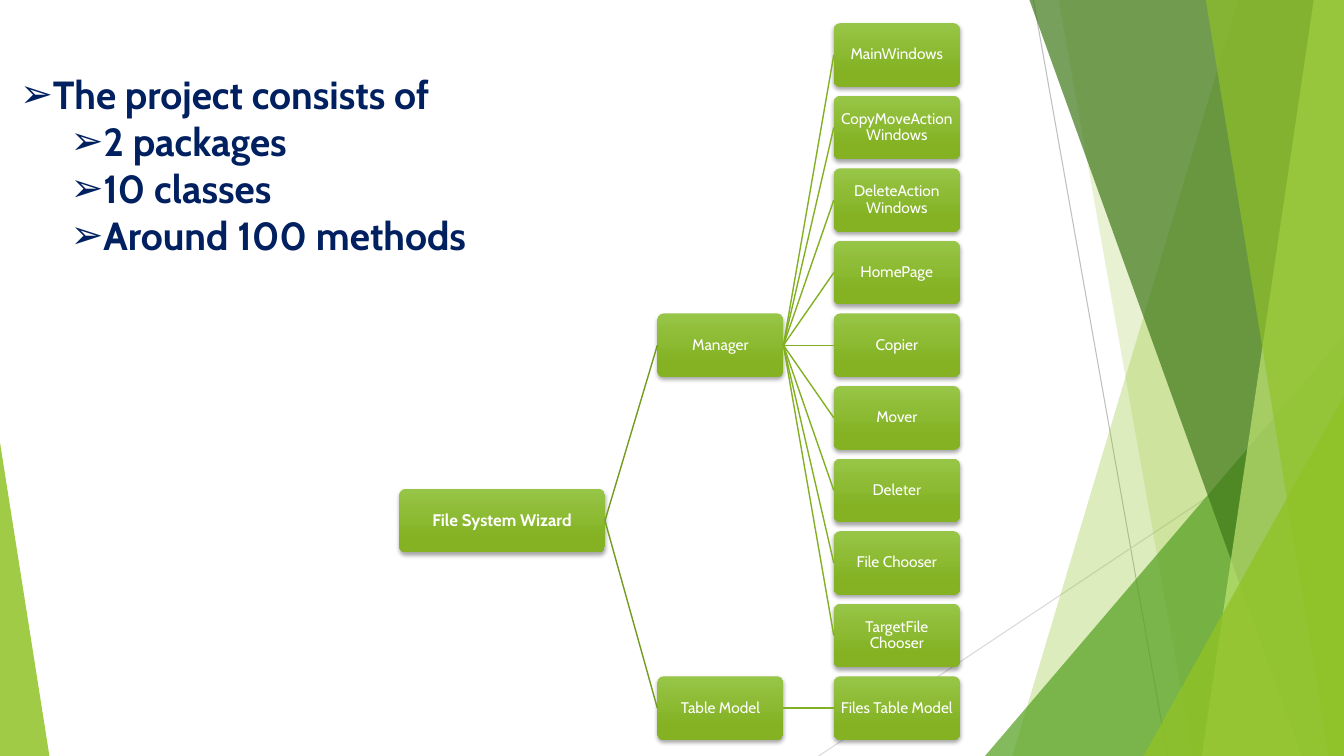
from pptx import Presentation
from pptx.dml.color import RGBColor as Rgb
from pptx.enum.shapes import MSO_CONNECTOR as Link, MSO_SHAPE as Kind
from pptx.enum.text import MSO_ANCHOR as Anchor, MSO_AUTO_SIZE as Auto, PP_ALIGN as Align
from pptx.oxml import parse_xml
from pptx.oxml.ns import nsdecls, qn
from pptx.util import Inches, Pt

THEME = {
    "font": "Cabin", "navy": "002060", "white": "FFFFFF",
    "top": "97C547", "base": "84B223", "trunk": "739B1E", "twig": "83B022",
    "list": 28, "root": 12, "node": 11,
}
POINTS = [
    ("The project consists of", 0),
    ("2 packages", 1),
    ("10 classes", 1),
    ("Around 100 methods", 1),
]
ROOT = "File System Wizard"
TREE = [
    ("Manager", 4, [
        "MainWindows", "CopyMoveAction Windows", "DeleteAction Windows",
        "HomePage", "Copier", "Mover", "Deleter", "File Chooser",
        "TargetFile Chooser",
    ]),
    ("Table Model", 9, ["Files Table Model"]),
]
RAYS = [
    ((10.25, 0), (11.58, 7.5), "BFBFBF"),
    ((13.33, 4.03), (8.12, 7.5), "D9D9D9"),
]
PANES = [
    ("free", [(12.28, 0), (13.33, 0), (13.33, 7.5), (10.04, 7.5)], "90C226", 30),
    ("free", [(10.5, 0), (13.33, 0), (13.33, 7.5), (11.83, 7.5)], "90C226", 20),
    ("peak", (9.77, 3.33, 3.56, 4.17, 1), "54A021", 72),
    ("free", [(10.21, 0), (13.33, 0), (13.33, 7.5), (12.91, 7.5)], "3F7819", 70),
    ("free", [(13.03, 0), (13.33, 0), (13.33, 7.5), (11.92, 7.5)], "C0E474", 70),
    ("free", [(11.96, 0), (13.33, 0), (13.33, 7.5), (13.18, 7.5)], "90C226", 65),
    ("peak", (11.34, 3.93, 1.99, 3.57, 1), "90C226", 80),
    ("peak", (0, 4.39, 0.49, 3.11, 0), "90C226", 85),
]
ROW, STEP, HIGH = 0.23, 0.72, 0.63
MID, LEAF, WIDE = 6.52, 8.27, 1.25


def color(name):
    return Rgb.from_string(THEME.get(name, name))


def write(para, text, size, tint, bold=False, align=None, space=None):
    run = para.add_run()
    run.text = text
    font = run.font
    font.name, font.size, font.bold = THEME["font"], Pt(THEME[size]), bold
    font.color.rgb = color(tint)
    para.alignment = align
    para.line_spacing = space
    para.space_before = para.space_after = Pt(0)


def pane(shapes, kind, form, tint, alpha):
    if kind == "free":
        pts = [(Inches(x), Inches(y)) for x, y in form]
        path = shapes.build_freeform(*pts[0])
        path.add_line_segments(pts[1:], close=True)
        shape = path.convert_to_shape()
    else:
        *frame, tip = form
        shape = shapes.add_shape(Kind.ISOSCELES_TRIANGLE, *map(Inches, frame))
        shape.adjustments[0] = tip
    shape.shadow.inherit = False
    shape.fill.solid()
    shape.fill.fore_color.rgb = color(tint)
    shape.line.fill.background()
    mark = shape.element.spPr.find(".//" + qn("a:srgbClr"))
    mark.append(parse_xml(f'<a:alpha {nsdecls("a")} val="{alpha * 1000}"/>'))


def line(shapes, start, end, tint, width):
    link = shapes.add_connector(Link.STRAIGHT, *map(Inches, start + end))
    link.line.color.rgb = color(tint)
    link.line.width = Pt(width)
    link.element.spPr.append(parse_xml(f'<a:effectLst {nsdecls("a")}/>'))
    return link


def join(shapes, left, right, tint):
    link = line(shapes, (0, 0), (1, 1), tint, 1)
    link.begin_connect(left, 3)
    link.end_connect(right, 1)


def box(shapes, text, x, y, wide=WIDE, size="node", bold=False):
    shape = shapes.add_shape(Kind.ROUNDED_RECTANGLE, *map(Inches, (x, y, wide, HIGH)))
    shape.adjustments[0] = 0.1
    shape.fill.gradient()
    shape.fill.gradient_angle = 270
    for stop, tint, spot in zip(shape.fill.gradient_stops, ("top", "base"), (0, 0.78)):
        stop.color.rgb = color(tint)
        stop.position = spot
    shape.line.fill.background()
    shape.shadow.inherit = False
    shape.element.spPr.find(qn("a:effectLst")).append(parse_xml(
        f'<a:outerShdw {nsdecls("a")} blurRad="38100" dist="25400" dir="5400000"'
        ' rotWithShape="0"><a:srgbClr val="000000"><a:alpha val="35000"/>'
        '</a:srgbClr></a:outerShdw>'))
    frame = shape.text_frame
    frame.word_wrap = True
    frame.vertical_anchor = Anchor.MIDDLE
    frame.margin_left = frame.margin_right = Inches(0.01)
    frame.margin_top = frame.margin_bottom = Inches(0.01)
    write(frame.paragraphs[0], text, size, "white", bold, Align.CENTER, 0.9)
    return shape


def outline(body):
    body.left, body.top, body.width, body.height = map(Inches, (0.1, 0.65, 5.81, 2.93))
    frame = body.text_frame
    frame.auto_size = Auto.NONE
    frame.word_wrap = True
    frame.vertical_anchor = Anchor.TOP
    for i, (text, level) in enumerate(POINTS):
        para = frame.add_paragraph() if i else frame.paragraphs[0]
        para.level = level
        write(para, text, "list", "navy", True, Align.LEFT, 1.0)
        props = para._p.get_or_add_pPr()
        props.set("marL", str(Inches(0.31 + 0.5 * level)))
        props.set("indent", str(Inches(-0.31)))
        props.append(parse_xml(f'<a:buChar {nsdecls("a")} char="➢"/>'))


def main():
    deck = Presentation()
    deck.slide_width, deck.slide_height = Inches(13.33), Inches(7.5)
    slide = deck.slides.add_slide(deck.slide_layouts[1])
    shapes = slide.shapes
    title = shapes.title.element
    title.getparent().remove(title)
    outline(slide.placeholders[1])
    for start, end, tint in RAYS:
        line(shapes, start, end, tint, 0.75)
    for item in PANES:
        pane(shapes, *item)
    root = box(shapes, ROOT, 3.96, 4.85, 2.04, "root", True)
    row = 0
    for name, spot, leaves in TREE:
        node = box(shapes, name, MID, ROW + STEP * spot)
        join(shapes, root, node, "trunk")
        for leaf in leaves:
            join(shapes, node, box(shapes, leaf, LEAF, ROW + STEP * row), "twig")
            row += 1
    deck.save("out.pptx")


if __name__ == "__main__":
    main()
